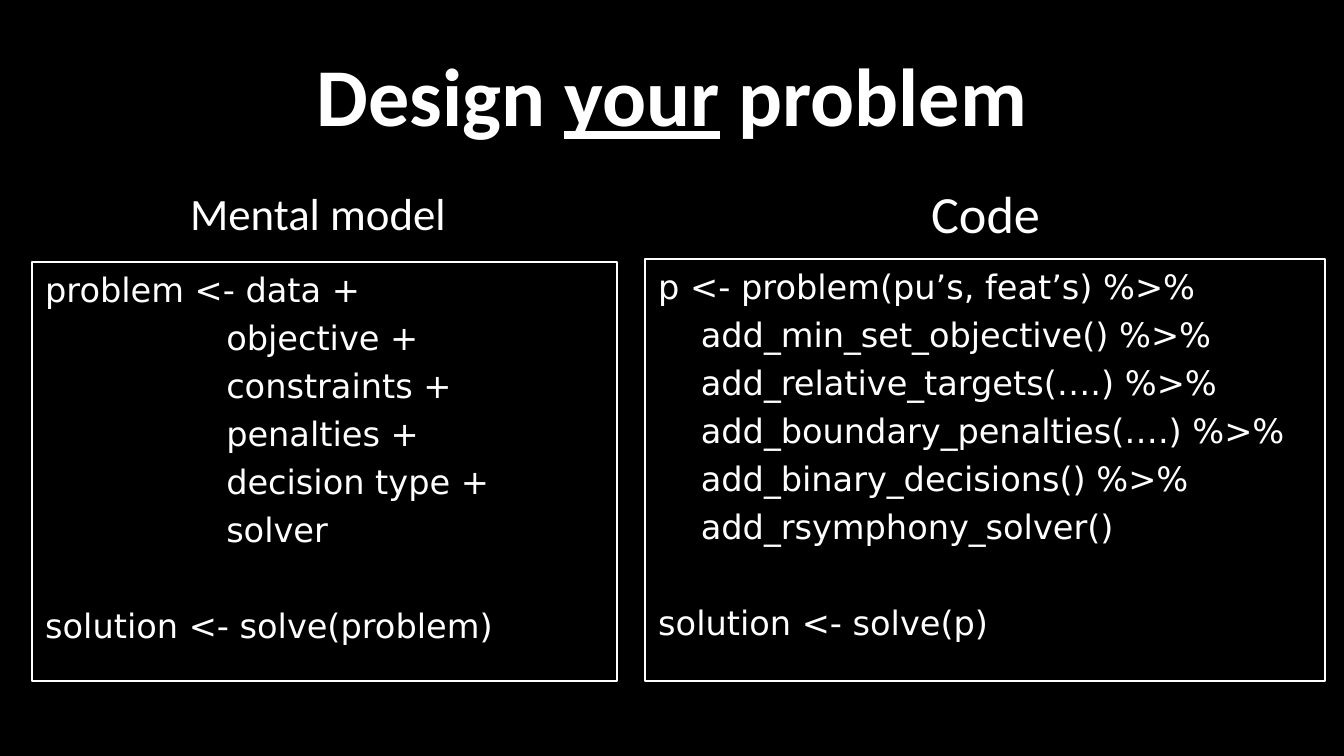
from dataclasses import dataclass

from pptx import Presentation
from pptx.dml.color import RGBColor
from pptx.enum.shapes import MSO_SHAPE
from pptx.enum.text import MSO_ANCHOR, MSO_AUTO_SIZE, PP_ALIGN
from pptx.util import Emu, Pt

EMU_PER_PX = 914400 / 134.4


@dataclass(frozen=True)
class Theme:
    background: RGBColor = RGBColor(0, 0, 0)
    foreground: RGBColor = RGBColor(255, 255, 255)
    heading_font: str = "Calibri"
    code_font: str = "DejaVu Sans"
    title_size: int = 44
    code_size: int = 18
    line_width: float = 0.75
    line_gap: float = 4.2
    section_gap: float = 29.4


THEME = Theme()

MODEL_STEPS = ["objective +", "constraints +", "penalties +", "decision type +", "solver"]
CODE_STEPS = [
    "add_min_set_objective() %>%",
    "add_relative_targets(….) %>%",
    "add_boundary_penalties(….) %>%",
    "add_binary_decisions() %>%",
    "add_rsymphony_solver()",
]


def px(length):
    return Emu(round(length * EMU_PER_PX))


def box(*lengths):
    return [px(length) for length in lengths]


def format_font(font, name, size):
    font.name = name
    font.size = Pt(size)
    font.color.rgb = THEME.foreground


def set_title(slide, parts):
    title = slide.shapes.title
    title.left, title.top, title.width, title.height = box(67, 31, 1210, 126)
    text_frame = title.text_frame
    text_frame.auto_size = MSO_AUTO_SIZE.NONE
    text_frame.vertical_anchor = MSO_ANCHOR.MIDDLE
    paragraph = text_frame.paragraphs[0]
    paragraph.alignment = PP_ALIGN.CENTER
    for text, underlined in parts:
        run = paragraph.add_run()
        run.text = text
        format_font(run.font, THEME.heading_font, THEME.title_size)
        run.font.bold = True
        run.font.underline = underlined


def add_heading(slide, text, bounds, size):
    text_frame = slide.shapes.add_textbox(*box(*bounds)).text_frame
    text_frame.word_wrap = False
    text_frame.auto_size = MSO_AUTO_SIZE.SHAPE_TO_FIT_TEXT
    text_frame.text = text
    format_font(text_frame.paragraphs[0].runs[0].font, THEME.heading_font, size)


def add_code_panel(slide, bounds, opening, steps, indent, closing):
    shape = slide.shapes.add_shape(MSO_SHAPE.RECTANGLE, *box(*bounds))
    shape.shadow.inherit = False
    shape.fill.background()
    shape.line.color.rgb = THEME.foreground
    shape.line.width = Pt(THEME.line_width)
    text_frame = shape.text_frame
    text_frame.word_wrap = True
    text_frame.vertical_anchor = MSO_ANCHOR.TOP
    lines = [opening, *(" " * indent + step for step in steps), closing]
    text_frame.text = "\n".join(lines)
    paragraphs = text_frame.paragraphs
    for paragraph in paragraphs:
        paragraph.alignment = PP_ALIGN.LEFT
        format_font(paragraph.runs[0].font, THEME.code_font, THEME.code_size)
    for paragraph in paragraphs[1:-1]:
        paragraph.space_before = Pt(THEME.line_gap)
    paragraphs[-1].space_before = Pt(THEME.section_gap)


def main():
    presentation = Presentation()
    presentation.slide_width, presentation.slide_height = box(1344, 756)
    slide = presentation.slides.add_slide(presentation.slide_layouts[5])
    slide.background.fill.solid()
    slide.background.fill.fore_color.rgb = THEME.background

    set_title(slide, [("Design ", False), ("your", True), (" problem", False)])
    add_heading(slide, "Mental model", (177, 179, 296, 67), 24)
    add_code_panel(slide, (32, 262, 585, 419), "problem <- data +",
                   MODEL_STEPS, 17, "solution <- solve(problem)")
    add_heading(slide, "Code", (918, 175, 137, 77), 28)
    add_code_panel(slide, (645, 259, 680, 422), "p <- problem(pu’s, feat’s) %>%",
                   CODE_STEPS, 4, "solution <- solve(p)")
    presentation.save("out.pptx")


if __name__ == "__main__":
    main()
